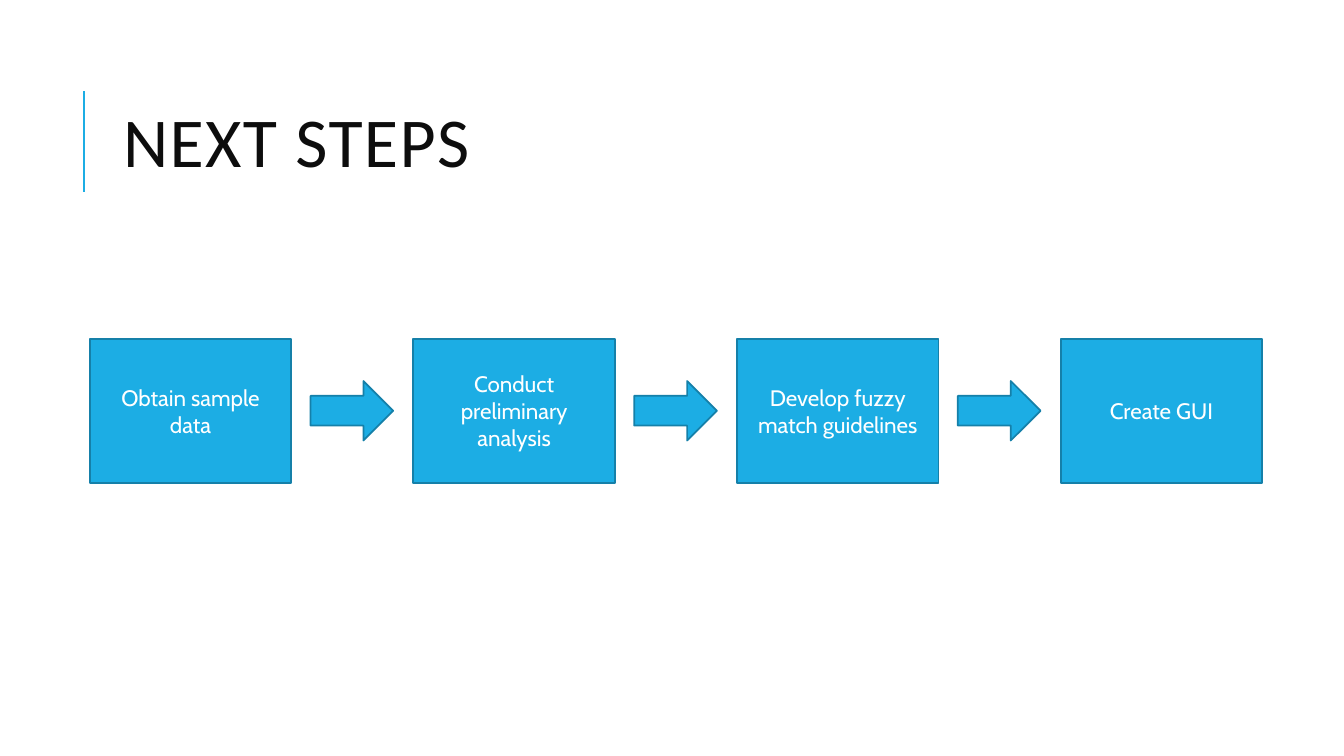
"""Build the "Next steps" slide: a title and four process steps joined by arrows."""
from dataclasses import dataclass

from lxml.etree import SubElement
from pptx import Presentation
from pptx.dml.color import RGBColor
from pptx.enum.shapes import MSO_CONNECTOR, MSO_SHAPE
from pptx.enum.text import MSO_ANCHOR as Anchor, MSO_AUTO_SIZE as AutoSize, PP_ALIGN as Align
from pptx.oxml.ns import qn
from pptx.shapes.autoshape import Shape
from pptx.slide import Slide
from pptx.util import Inches, Pt


@dataclass(frozen=True)
class Theme:
    accent: str = "1CADE4"
    outline: str = "1580A9"
    title_color: str = "0D0D0D"
    step_color: str = "FFFFFF"
    title_font: str = "Calibri"
    step_font: str = "Cabin"
    title_size: float = 50
    step_size: float = 16
    rule_width: float = 1.5
    outline_width: float = 1.25


@dataclass(frozen=True)
class Grid:
    left: float = 0.89
    pitch: float = 3.21
    middle: float = 4.075

    def column(self, index: int) -> float:
        return self.left + index * self.pitch


@dataclass(frozen=True)
class FlowItem:
    kind: MSO_SHAPE
    offset: float
    width: float
    height: float


THEME = Theme()
GRID = Grid()
STEP = FlowItem(MSO_SHAPE.RECTANGLE, 0, 2, 1.43)
ARROW = FlowItem(MSO_SHAPE.RIGHT_ARROW, 2.19, 0.82, 0.59)
STEPS = (
    "Obtain sample data",
    "Conduct preliminary analysis",
    "Develop fuzzy match guidelines",
    "Create GUI",
)


def write_text(shape: Shape, text: str, *, font: str, size: float, color: str,
               align: Align, line_spacing: float = 1, tracking: float = 0) -> None:
    frame = shape.text_frame
    frame.word_wrap = True
    frame.auto_size = AutoSize.NONE
    frame.vertical_anchor = Anchor.MIDDLE
    paragraph = frame.paragraphs[0]
    paragraph.alignment = align
    paragraph.line_spacing = line_spacing
    run = paragraph.add_run()
    run.text = text
    run.font.name = font
    run.font.size = Pt(size)
    run.font.color.rgb = RGBColor.from_string(color)
    if tracking:
        run.font._element.set("spc", str(round(tracking * 100)))


def add_title(slide: Slide, text: str) -> None:
    title = slide.shapes.title
    title.left, title.top = Inches(1.12), Inches(0.64)
    title.width, title.height = Inches(10.63), Inches(1.64)
    write_text(title, text, font=THEME.title_font, size=THEME.title_size,
               color=THEME.title_color, align=Align.LEFT, line_spacing=0.8, tracking=1)


def add_title_rule(slide: Slide) -> None:
    rule = slide.shapes.add_connector(
        MSO_CONNECTOR.STRAIGHT, Inches(0.83), Inches(1.9), Inches(0.83), Inches(0.9))
    rule.line.color.rgb = RGBColor.from_string(THEME.accent)
    rule.line.width = Pt(THEME.rule_width)
    SubElement(rule._element.spPr, qn("a:effectLst"))


def add_flow_item(slide: Slide, item: FlowItem, column: int) -> Shape:
    shape = slide.shapes.add_shape(
        item.kind, Inches(GRID.column(column) + item.offset),
        Inches(GRID.middle - item.height / 2), Inches(item.width), Inches(item.height))
    shape.shadow.inherit = False
    shape.fill.solid()
    shape.fill.fore_color.rgb = RGBColor.from_string(THEME.accent)
    shape.line.color.rgb = RGBColor.from_string(THEME.outline)
    shape.line.width = Pt(THEME.outline_width)
    return shape


def main() -> None:
    presentation = Presentation()
    presentation.slide_width, presentation.slide_height = Inches(13.33), Inches(7.5)
    slide = presentation.slides.add_slide(presentation.slide_layouts.get_by_name("Title Only"))
    add_title_rule(slide)
    add_title(slide, "NEXT STEPS")
    for column, text in enumerate(STEPS):
        step = add_flow_item(slide, STEP, column)
        write_text(step, text, font=THEME.step_font, size=THEME.step_size,
                   color=THEME.step_color, align=Align.CENTER)
        if column < len(STEPS) - 1:
            add_flow_item(slide, ARROW, column)
    presentation.save("out.pptx")


if __name__ == "__main__":
    main()
